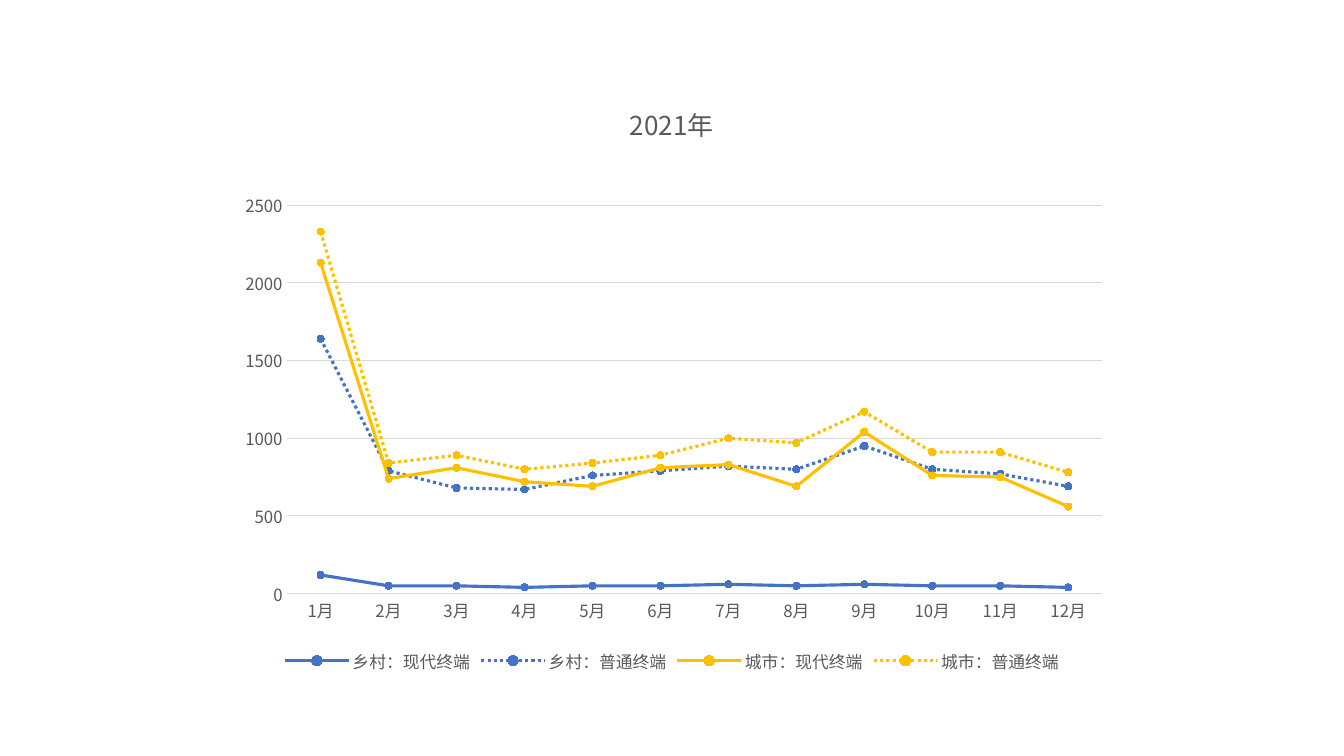
from dataclasses import dataclass

from pptx import Presentation
from pptx.chart.chart import Chart
from pptx.chart.data import CategoryChartData
from pptx.dml.color import RGBColor
from pptx.enum.chart import XL_CHART_TYPE, XL_LEGEND_POSITION, XL_MARKER_STYLE, XL_TICK_MARK
from pptx.enum.dml import MSO_LINE
from pptx.oxml import parse_xml
from pptx.oxml.ns import nsdecls, qn
from pptx.text.text import Font
from pptx.util import Inches, Pt

LINE_MARKERS = XL_CHART_TYPE.LINE_MARKERS
LEGEND_BOTTOM = XL_LEGEND_POSITION.BOTTOM
CIRCLE = XL_MARKER_STYLE.CIRCLE
NO_TICK = XL_TICK_MARK.NONE
DOTTED = MSO_LINE.ROUND_DOT

BLUE = RGBColor(0x44, 0x72, 0xC4)
GOLD = RGBColor(0xFF, 0xC0, 0x00)
TEXT_GRAY = RGBColor(0x59, 0x59, 0x59)
GRID_GRAY = RGBColor(0xD9, 0xD9, 0xD9)
FONT_NAME = "Noto Sans CJK SC"

# Plot area inside the axes, as fractions of the chart
PLOT_LAYOUT = {"x": 0.07, "y": 0.21, "w": 0.91, "h": 0.65}


@dataclass(frozen=True)
class TerminalSeries:
    name: str
    values: tuple[int, ...]
    color: RGBColor
    dotted: bool


TERMINAL_SERIES = (
    TerminalSeries("乡村：现代终端",
                   (120, 50, 50, 40, 50, 50, 60, 50, 60, 50, 50, 40), BLUE, False),
    TerminalSeries("乡村：普通终端",
                   (1640, 790, 680, 670, 760, 790, 820, 800, 950, 800, 770, 690), BLUE, True),
    TerminalSeries("城市：现代终端",
                   (2130, 740, 810, 720, 690, 810, 830, 690, 1040, 760, 750, 560), GOLD, False),
    TerminalSeries("城市：普通终端",
                   (2330, 840, 890, 800, 840, 890, 1000, 970, 1170, 910, 910, 780), GOLD, True),
)


def style_font(font: Font, size: float) -> None:
    font.name = FONT_NAME
    font.size = Pt(size)
    font.bold = False
    font.color.rgb = TEXT_GRAY


def style_series(chart: Chart) -> None:
    for series, terminal in zip(chart.plots[0].series, TERMINAL_SERIES):
        series.smooth = False
        series.format.line.width = Pt(2.25)
        series.format.line.color.rgb = terminal.color
        if terminal.dotted:
            series.format.line.dash_style = DOTTED
        marker = series.marker
        marker.style = CIRCLE
        marker.size = 5
        marker.format.fill.solid()
        marker.format.fill.fore_color.rgb = terminal.color
        marker.format.line.color.rgb = terminal.color


def style_axes(chart: Chart) -> None:
    for axis in (chart.category_axis, chart.value_axis):
        axis.major_tick_mark = NO_TICK
        axis.minor_tick_mark = NO_TICK
        style_font(axis.tick_labels.font, 12)
    category_line = chart.category_axis.format.line
    grid_line = chart.value_axis.major_gridlines.format.line
    for line in (category_line, grid_line):
        line.color.rgb = GRID_GRAY
        line.width = Pt(0.75)
    chart.value_axis.format.line.fill.background()
    chart.value_axis.minimum_scale = 0
    chart.value_axis.maximum_scale = 2500
    chart.value_axis.major_unit = 500


def place_plot(chart: Chart) -> None:
    plot_area = chart.element.find(".//" + qn("c:plotArea"))
    for layout in plot_area.findall(qn("c:layout")):
        plot_area.remove(layout)
    sizes = "".join(f'<c:{key} val="{value}"/>' for key, value in PLOT_LAYOUT.items())
    plot_area.insert(0, parse_xml(
        f'<c:layout {nsdecls("c")}><c:manualLayout><c:layoutTarget val="inner"/>'
        f'<c:xMode val="edge"/><c:yMode val="edge"/>{sizes}</c:manualLayout></c:layout>'))


def set_east_asian_fonts(chart: Chart) -> None:
    for latin in list(chart.element.iter(qn("a:latin"))):
        latin.addnext(parse_xml(f'<a:ea {nsdecls("a")} typeface="{FONT_NAME}"/>'))


def main() -> None:
    presentation = Presentation()
    presentation.slide_width = Inches(13.33)
    presentation.slide_height = Inches(7.5)
    slide = presentation.slides.add_slide(presentation.slide_layouts[6])

    # Monthly data
    chart_data = CategoryChartData()
    chart_data.categories = [f"{month}月" for month in range(1, 13)]
    for terminal in TERMINAL_SERIES:
        chart_data.add_series(terminal.name, terminal.values)
    chart = slide.shapes.add_chart(LINE_MARKERS, Inches(2.22), Inches(0.79),
                                   Inches(8.89), Inches(5.93), chart_data).chart
    style_font(chart.font, 10)
    chart.plots[0].vary_by_categories = False

    # Title
    chart.has_title = True
    chart.chart_title.include_in_layout = False
    title = chart.chart_title.text_frame.paragraphs[0]
    title.text = "2021年"
    style_font(title.font, 18.6)

    # Legend
    chart.has_legend = True
    chart.legend.position = LEGEND_BOTTOM
    chart.legend.include_in_layout = False
    style_font(chart.legend.font, 12)

    style_series(chart)
    style_axes(chart)
    place_plot(chart)
    set_east_asian_fonts(chart)
    presentation.save("out.pptx")


if __name__ == "__main__":
    main()
